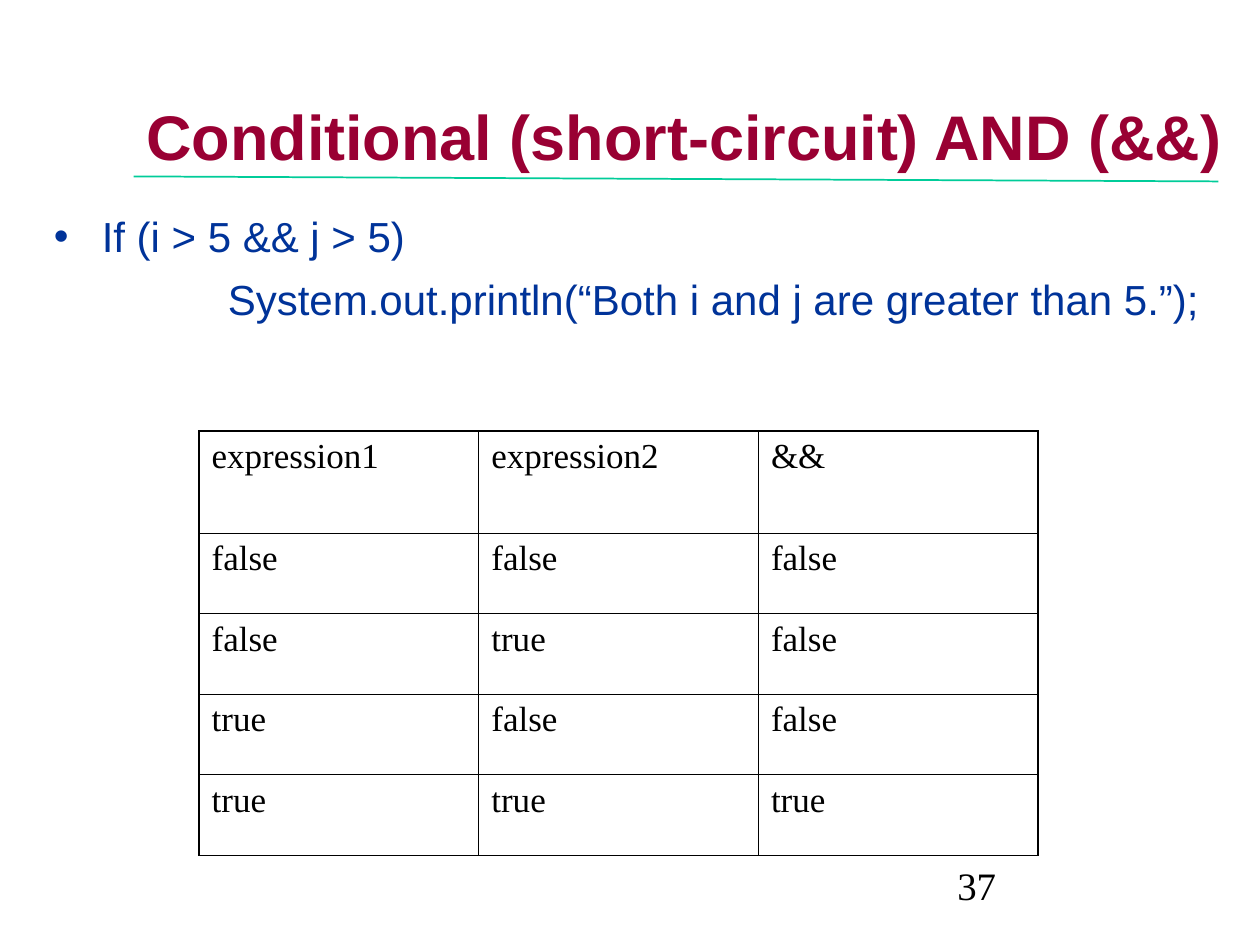
from lxml import etree
from pptx import Presentation
from pptx.dml.color import RGBColor
from pptx.enum.shapes import MSO_CONNECTOR
from pptx.enum.text import MSO_ANCHOR, PP_ALIGN
from pptx.oxml.ns import qn
from pptx.util import Inches, Pt

LINE = MSO_CONNECTOR.STRAIGHT
TOP, MIDDLE = MSO_ANCHOR.TOP, MSO_ANCHOR.MIDDLE
CENTER = PP_ALIGN.CENTER

WHITE = RGBColor(0xFF, 0xFF, 0xFF)
BLACK = RGBColor(0x00, 0x00, 0x00)
MAROON = RGBColor(0x99, 0x00, 0x33)
NAVY = RGBColor(0x00, 0x33, 0x99)
GREEN = RGBColor(0x00, 0xCC, 0x99)
SANS, SERIF = "Arial", "Times New Roman"

THICK, THIN = 1.08, 0.45
TRUTH = [
    ("expression1", "expression2", "&&"),
    ("false", "false", "false"),
    ("false", "true", "false"),
    ("true", "false", "false"),
    ("true", "true", "true"),
]


def add_run(para, text, size, face, color, bold=False):
    run = para.add_run()
    run.text = text
    font = run.font
    font.size, font.name, font.bold = Pt(size), face, bold
    font.color.rgb = color


def add_box(slide, left, top, width, height, anchor=TOP):
    box = slide.shapes.add_textbox(
        Inches(left), Inches(top), Inches(width), Inches(height))
    frame = box.text_frame
    frame.word_wrap = True
    frame.vertical_anchor = anchor
    return frame


def set_indent(para, left, first=0, bullet=None):
    props = para._p.get_or_add_pPr()
    props.set("marL", str(Inches(left)))
    props.set("indent", str(Inches(first)))
    if bullet:
        etree.SubElement(props, qn("a:buFont"), typeface=SANS)
        etree.SubElement(props, qn("a:buChar"), char=bullet)
    else:
        etree.SubElement(props, qn("a:buNone"))


def add_title(slide):
    para = add_box(slide, 0.93, 0.73, 9, 0.68, MIDDLE).paragraphs[0]
    para.alignment = CENTER
    add_run(para, "Conditional (short-circuit) AND (&&)", 36, SANS, MAROON, True)


def add_rule(slide):
    rule = slide.shapes.add_connector(
        LINE, Inches(1.06), Inches(1.4), Inches(9.67), Inches(1.44))
    rule.line.color.rgb = GREEN
    rule.line.width = Pt(1)
    etree.SubElement(rule._element.spPr, qn("a:effectLst"))


def add_code(slide):
    frame = add_box(slide, 0.33, 1.58, 9.33, 5.08)
    frame.margin_top = Inches(0.09)
    test = frame.paragraphs[0]
    set_indent(test, 0.38, -0.38, "•")
    add_run(test, "If (i > 5 && j > 5)", 24, SANS, NAVY)
    call = frame.add_paragraph()
    set_indent(call, 1.38)
    call.space_before = Pt(7)
    add_run(call, "System.out.println(“Both i and j are greater than 5.”);",
            24, SANS, NAVY)


def set_edges(cell, widths):
    """Draw the cell's borders; widths are left, right, top, bottom in points."""
    props = cell._tc.get_or_add_tcPr()
    for spot, (side, width) in enumerate(zip("LRTB", widths)):
        edge = etree.Element(qn(f"a:ln{side}"), w=str(Pt(width)))
        fill = etree.SubElement(edge, qn("a:solidFill"))
        etree.SubElement(fill, qn("a:srgbClr"), val=str(BLACK))
        props.insert(spot, edge)


def add_truth(slide):
    rows, cols = len(TRUTH), len(TRUTH[0])
    table = slide.shapes.add_table(
        rows, cols, Inches(1.58), Inches(3.42), Inches(6.67), Inches(3.38)).table
    table.first_row = table.horz_banding = False
    for col in table.columns:
        col.width = Inches(2.22)
    for r, words in enumerate(TRUTH):
        table.rows[r].height = Inches(0.64 if r else 0.81)
        for c, word in enumerate(words):
            cell = table.cell(r, c)
            cell.fill.solid()
            cell.fill.fore_color.rgb = WHITE
            outer = (c == 0, c == cols - 1, r == 0, r == rows - 1)
            set_edges(cell, [THICK if out else THIN for out in outer])
            add_run(cell.text_frame.paragraphs[0], word, 20, SERIF, BLACK)


def add_number(slide):
    para = add_box(slide, 7.5, 6.83, 2.17, 0.5).paragraphs[0]
    para.line_spacing = 0.9
    add_run(para, "37", 22.2, SERIF, BLACK)


def main():
    deck = Presentation()
    deck.slide_width, deck.slide_height = Inches(10), Inches(7.5)
    slide = deck.slides.add_slide(deck.slide_layouts[6])
    add_title(slide)
    add_code(slide)
    add_truth(slide)
    add_rule(slide)
    add_number(slide)
    deck.save("out.pptx")


if __name__ == "__main__":
    main()
